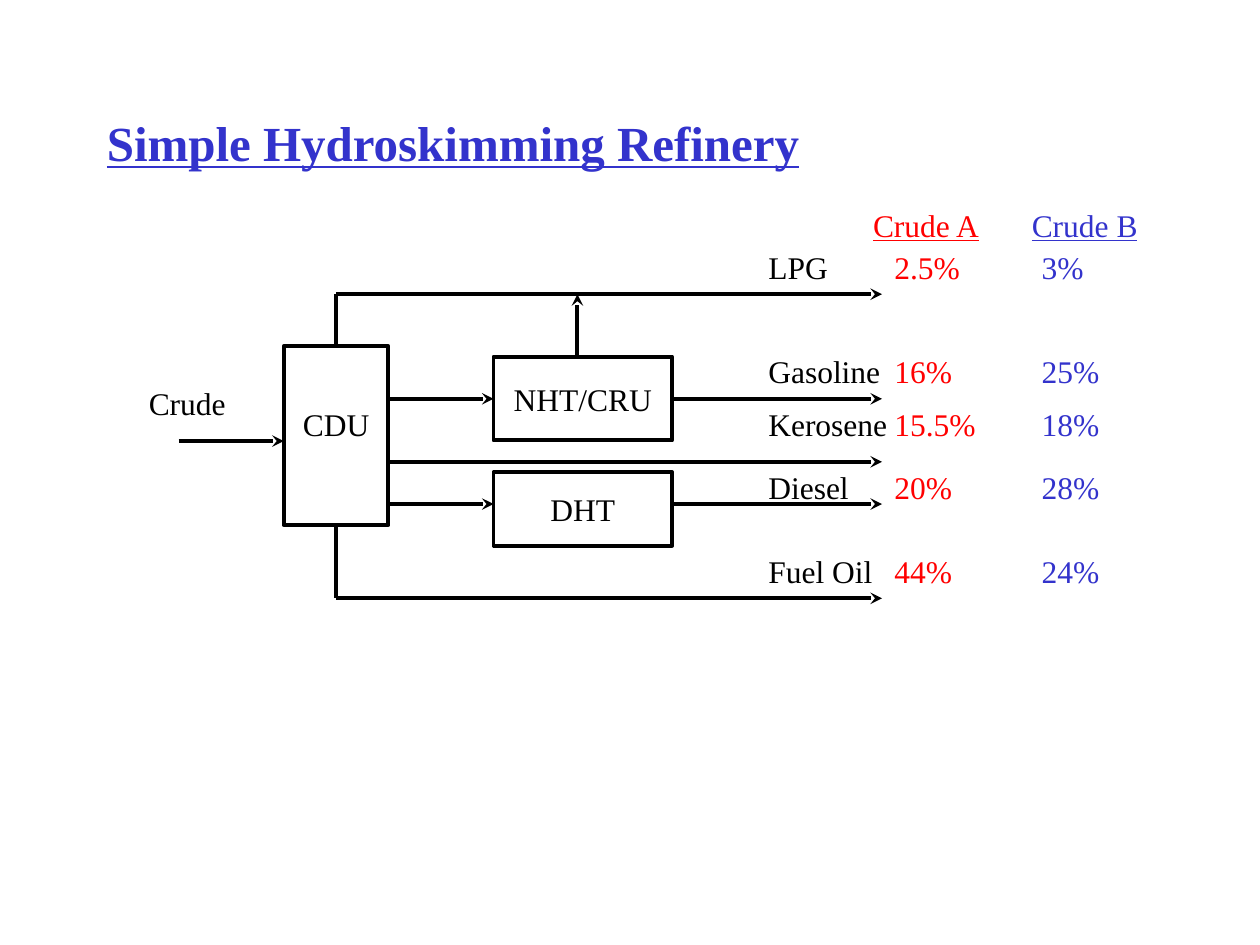
from lxml import etree
from pptx import Presentation
from pptx.dml.color import RGBColor
from pptx.enum.shapes import MSO_CONNECTOR as CONN, MSO_SHAPE as SHAPE
from pptx.enum.text import MSO_ANCHOR as ANCHOR, PP_ALIGN as ALIGN
from pptx.oxml.ns import qn
from pptx.util import Cm, Pt

FONT = "Times New Roman"
BLACK, RED, BLUE = "000000", "FF0000", "3333CC"
ROWS = [0.85, 2.96, 4.02, 5.29, 6.98]
PRODUCTS = ["LPG", "Gasoline", "Kerosene", "Diesel", "Fuel Oil"]
CRUDES = [
    ("Crude A", RED, 2.11, 2.54, ["2.5%", "16%", "15.5%", "20%", "44%"]),
    ("Crude B", BLUE, 5.31, 5.51, ["3%", "25%", "18%", "28%", "24%"]),
]


def rgb(color):
    return RGBColor.from_string(color)


def write(tf, text, color=BLACK, size=18, align=ALIGN.LEFT, bold=False, underline=False):
    tf.word_wrap = True
    tf.text = text
    p = tf.paragraphs[0]
    p.alignment = align
    f = p.runs[0].font
    f.name, f.size, f.bold, f.underline = FONT, Pt(size), bold, underline
    f.color.rgb = rgb(color)


def add_label(s, x, y, w, text, color=BLACK, underline=False):
    tb = s.shapes.add_textbox(Cm(x), Cm(y), Cm(w), Cm(1.02))
    write(tb.text_frame, text, color, underline=underline)


def add_unit(s, x, y, w, h, text, lift=0):
    sp = s.shapes.add_shape(SHAPE.RECTANGLE, Cm(x), Cm(y), Cm(w), Cm(h))
    sp.shadow.inherit = False
    sp.fill.background()
    sp.line.color.rgb = rgb(BLACK)
    sp.line.width = Pt(2.25)
    tf = sp.text_frame
    tf.vertical_anchor = ANCHOR.MIDDLE
    tf.margin_top = Cm(0.13)
    tf.margin_bottom = Cm(0.13 + 2 * lift)
    write(tf, text, align=ALIGN.CENTER)


def add_stream(s, x1, y1, x2, y2, arrow=True):
    c = s.shapes.add_connector(CONN.STRAIGHT, Cm(x1), Cm(y1), Cm(x2), Cm(y2))
    c.line.color.rgb = rgb(BLACK)
    c.line.width = Pt(2.25)
    if arrow:
        etree.SubElement(c.line._get_or_add_ln(), qn("a:tailEnd"), type="stealth")
    etree.SubElement(c._element.spPr, qn("a:effectLst"))


def add_title(s, x, y, w, h):
    sp = s.shapes.title
    sp.left, sp.top, sp.width, sp.height = Cm(x), Cm(y), Cm(w), Cm(h)
    sp.text_frame.vertical_anchor = ANCHOR.MIDDLE
    write(sp.text_frame, "Simple Hydroskimming Refinery", BLUE, 28, bold=True, underline=True)


def add_flow(s, x, y, w):
    cdu_l, cdu_r = x + 2.97, x + 5.08
    cdu_mid = (cdu_l + cdu_r) / 2
    cdu_top, cdu_bottom = y + 2.96, y + 6.57
    unit_l, unit_w = x + 7.2, 3.6
    unit_r, end = unit_l + unit_w, x + w
    lpg, feed, naphtha, kerosene, diesel, fuel_oil = (
        y + dy for dy in (1.91, 4.87, 4.02, 5.29, 6.14, 8.04))

    add_unit(s, cdu_l, cdu_top, cdu_r - cdu_l, cdu_bottom - cdu_top, "CDU", lift=0.23)
    add_unit(s, unit_l, y + 3.17, unit_w, 1.69, "NHT/CRU")
    add_unit(s, unit_l, y + 5.5, unit_w, 1.48, "DHT")

    add_label(s, x, y + 3.6, 2.54, "Crude")
    add_stream(s, x + 0.85, feed, cdu_l, feed)
    for edge, level in ((cdu_top, lpg), (cdu_bottom, fuel_oil)):
        add_stream(s, cdu_mid, edge, cdu_mid, level, arrow=False)
        add_stream(s, cdu_mid, level, end, level)
    for level in (naphtha, diesel):
        add_stream(s, cdu_r, level, unit_l, level)
        add_stream(s, unit_r, level, end, level)
    add_stream(s, cdu_r, kerosene, end, kerosene)
    add_stream(s, x + 8.89, y + 3.17, x + 8.89, lpg)


def add_yields(s, x, y):
    for product, dy in zip(PRODUCTS, ROWS):
        add_label(s, x, y + dy, 3.6, product)
    for name, color, head_dx, value_dx, values in CRUDES:
        add_label(s, x + head_dx, y, 2.97, name, color, underline=True)
        for value, dy in zip(values, ROWS):
            add_label(s, x + value_dx, y + dy, 2.74, value, color)


def main():
    prs = Presentation()
    prs.slide_width, prs.slide_height = Cm(25.4), Cm(19.05)
    s = prs.slides.add_slide(prs.slide_layouts[5])
    add_title(s, 1.9, 1.27, 21.6, 3.18)
    add_flow(s, 2.75, 4.02, 15.03)
    add_yields(s, 15.24, 4.02)
    prs.save("out.pptx")


if __name__ == "__main__":
    main()
